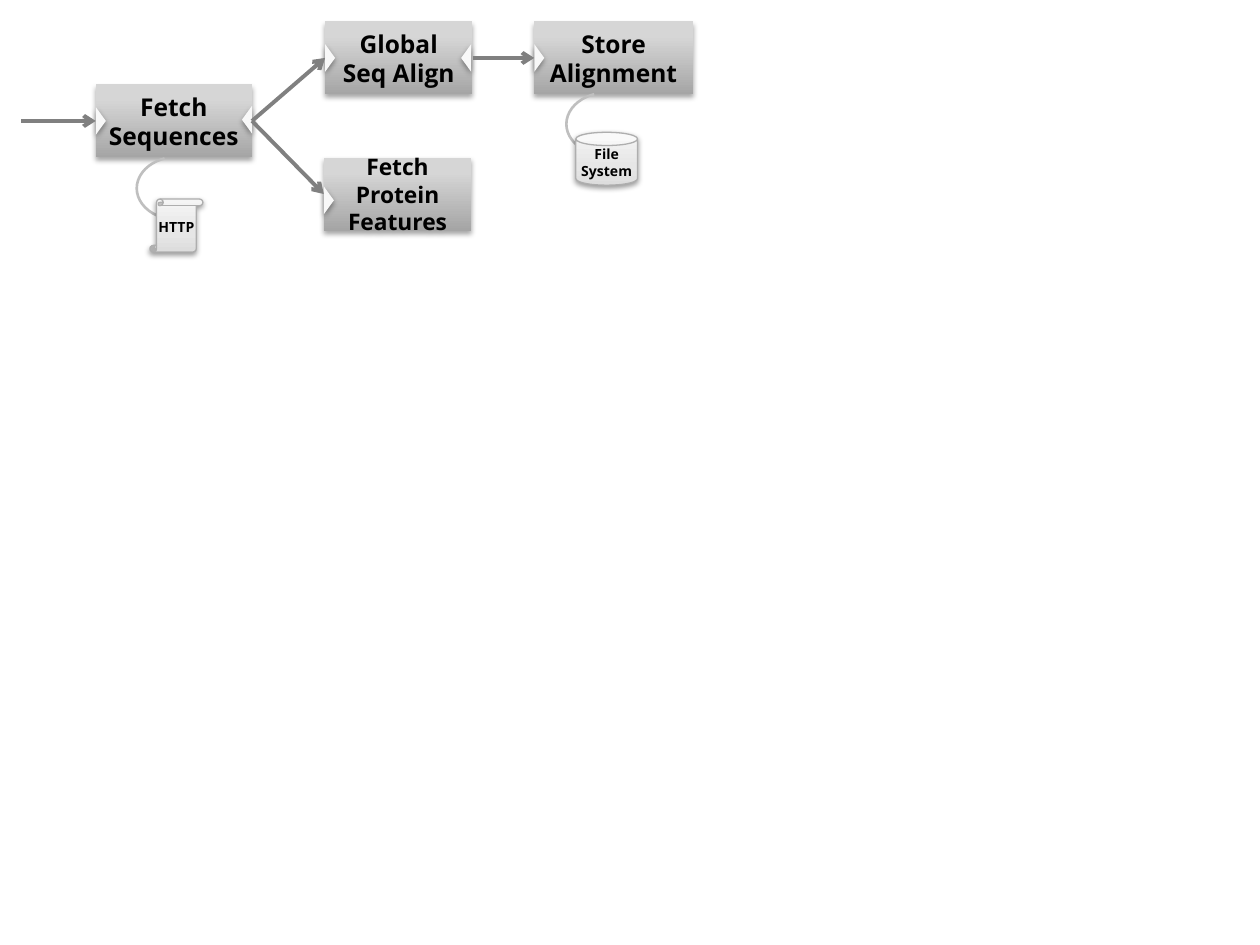
import lxml.etree
import pptx
import pptx.dml.color
import pptx.enum.shapes
import pptx.enum.text
import pptx.oxml.ns
import pptx.util

Inches = pptx.util.Inches
Pt = pptx.util.Pt
RGB = pptx.dml.color.RGBColor
SHAPE = pptx.enum.shapes.MSO_SHAPE
qn = pptx.oxml.ns.qn

FONT = "Open Sans"
BLACK = RGB(0x00, 0x00, 0x00)
FLOW_GRAY = RGB(0x80, 0x80, 0x80)
LOOP_GRAY = RGB(0xBF, 0xBF, 0xBF)
ICON_EDGE = RGB(0xAE, 0xAE, 0xAE)
PORT_FILL = RGB(0xF8, 0xF8, 0xF8)
STEP_STOPS = [(0, RGB(0xA5, 0xA5, 0xA5)), (80, RGB(0xD6, 0xD6, 0xD6)),
              (100, RGB(0xD7, 0xD7, 0xD7))]
ICON_STOPS = [(0, RGB(0xDD, 0xDD, 0xDD)), (35, RGB(0xE6, 0xE6, 0xE6)),
              (100, RGB(0xF5, 0xF5, 0xF5))]


def add_child(parent, tag, **attributes):
    """Append a child element with the given attributes."""
    child = lxml.etree.SubElement(parent, qn(tag))
    for key, value in attributes.items():
        child.set(key, str(value))
    return child


def add_preset(slide, kind, left, top, width, height):
    """Add a preset shape without an inherited shadow."""
    preset = slide.shapes.add_shape(
        kind, Inches(left), Inches(top), Inches(width), Inches(height))
    preset.shadow.inherit = False
    return preset


def drop_shadow(preset, opacity, distance):
    """Give a shape a soft shadow that falls straight down."""
    effects = preset._element.spPr.find(qn("a:effectLst"))
    outer = add_child(effects, "a:outerShdw", blurRad=Pt(3.1),
                      dist=Pt(distance), dir=90 * 60000, rotWithShape=0)
    color = add_child(outer, "a:srgbClr", val=BLACK)
    add_child(color, "a:alpha", val=opacity * 1000)


def fill_gradient(preset, stops):
    """Fill a shape with a gradient that rises from the bottom."""
    preset.fill.gradient()
    preset.fill.gradient_angle = 90
    stop_list = preset._element.spPr.find(qn("a:gradFill")).find(qn("a:gsLst"))
    for old_stop in list(stop_list):
        stop_list.remove(old_stop)
    for position, color in stops:
        stop = add_child(stop_list, "a:gs", pos=position * 1000)
        add_child(stop, "a:srgbClr", val=color)


def write_label(preset, label, size, tight):
    """Write a bold centred label inside a shape."""
    frame = preset.text_frame
    frame.word_wrap = True
    frame.vertical_anchor = pptx.enum.text.MSO_ANCHOR.MIDDLE
    if tight:
        frame.margin_left = frame.margin_right = 0
        frame.margin_top = frame.margin_bottom = 0
    paragraph = frame.paragraphs[0]
    paragraph.alignment = pptx.enum.text.PP_ALIGN.CENTER
    run = paragraph.add_run()
    run.text = label
    run.font.name = FONT
    run.font.size = Pt(size)
    run.font.bold = True
    run.font.color.rgb = BLACK


def style_arrow(line, color, width, head):
    """Colour a line and put an arrowhead at its end."""
    line.color.rgb = color
    line.width = Pt(width)
    add_child(line._get_or_add_ln(), "a:tailEnd", type=head)


def add_step(slide, label, left, top, width, size=14, tight=False):
    """Add one workflow step."""
    step = add_preset(slide, SHAPE.RECTANGLE, left, top, width, 0.58)
    fill_gradient(step, STEP_STOPS)
    step.line.fill.background()
    drop_shadow(step, 35, 1.8)
    write_label(step, label, size, tight)


def add_flow(slide, start, end):
    """Add an arrow between two points."""
    flow = slide.shapes.add_connector(
        pptx.enum.shapes.MSO_CONNECTOR.STRAIGHT,
        *(Inches(value) for value in start + end))
    style_arrow(flow.line, FLOW_GRAY, 2.25, "arrow")
    add_child(flow._element.spPr, "a:effectLst")


def add_loop(slide, left, top):
    """Add the round arrow between a step and its resource."""
    loop = add_preset(slide, SHAPE.ARC, left, top, 0.5, 0.65)
    for index, degrees in enumerate((23.68, 194.88)):
        loop.adjustments[index] = degrees * 0.6
    loop.rotation = 270
    loop._element.spPr.find(qn("a:xfrm")).set("flipV", "1")
    loop.fill.background()
    style_arrow(loop.line, LOOP_GRAY, 1.5, "triangle")


def add_resource(slide, kind, label, left, top, width):
    """Add the resource that a step uses."""
    resource = add_preset(slide, kind, left, top, width, 0.42)
    fill_gradient(resource, ICON_STOPS)
    resource.line.color.rgb = ICON_EDGE
    resource.line.width = Pt(0.75)
    drop_shadow(resource, 38, 1.6)
    write_label(resource, label, 8, True)


def add_port(slide, left, top, rotation):
    """Add the notch where an arrow enters or leaves a step."""
    port = add_preset(slide, SHAPE.ISOSCELES_TRIANGLE, left, top, 0.22, 0.08)
    port.rotation = rotation
    port.fill.solid()
    port.fill.fore_color.rgb = PORT_FILL
    port.line.fill.background()
    drop_shadow(port, 38, 1.6)


def main():
    """Build the sequence workflow slide."""
    deck = pptx.Presentation()
    deck.slide_width, deck.slide_height = Inches(10), Inches(7.5)
    slide = deck.slides.add_slide(deck.slide_layouts[6])

    add_step(slide, "Global Seq Align", 2.58, 0.17, 1.17)
    add_step(slide, "Fetch Sequences", 0.76, 0.67, 1.24)
    add_step(slide, "Fetch Protein Features", 2.57, 1.25, 1.17, 13, True)
    add_step(slide, "Store Alignment", 4.24, 0.17, 1.26)

    add_loop(slide, 1.16, 1.17)
    add_loop(slide, 4.57, 0.66)
    add_resource(slide, SHAPE.VERTICAL_SCROLL, "HTTP", 1.19, 1.58, 0.42)
    add_resource(slide, SHAPE.CAN, "File System", 4.57, 1.05, 0.49)

    for left, top in ((0.69, 0.92), (2.51, 0.42), (2.5, 1.55), (4.17, 0.42)):
        add_port(slide, left, top, 90)
    for left, top in ((1.85, 0.91), (3.59, 0.42)):
        add_port(slide, left, top, 270)

    fork = (2, 0.96)
    add_flow(slide, (0.17, 0.96), (0.76, 0.96))
    add_flow(slide, fork, (2.58, 0.46))
    add_flow(slide, fork, (2.57, 1.54))
    add_flow(slide, (3.75, 0.46), (4.24, 0.46))

    deck.save("out.pptx")


main()
